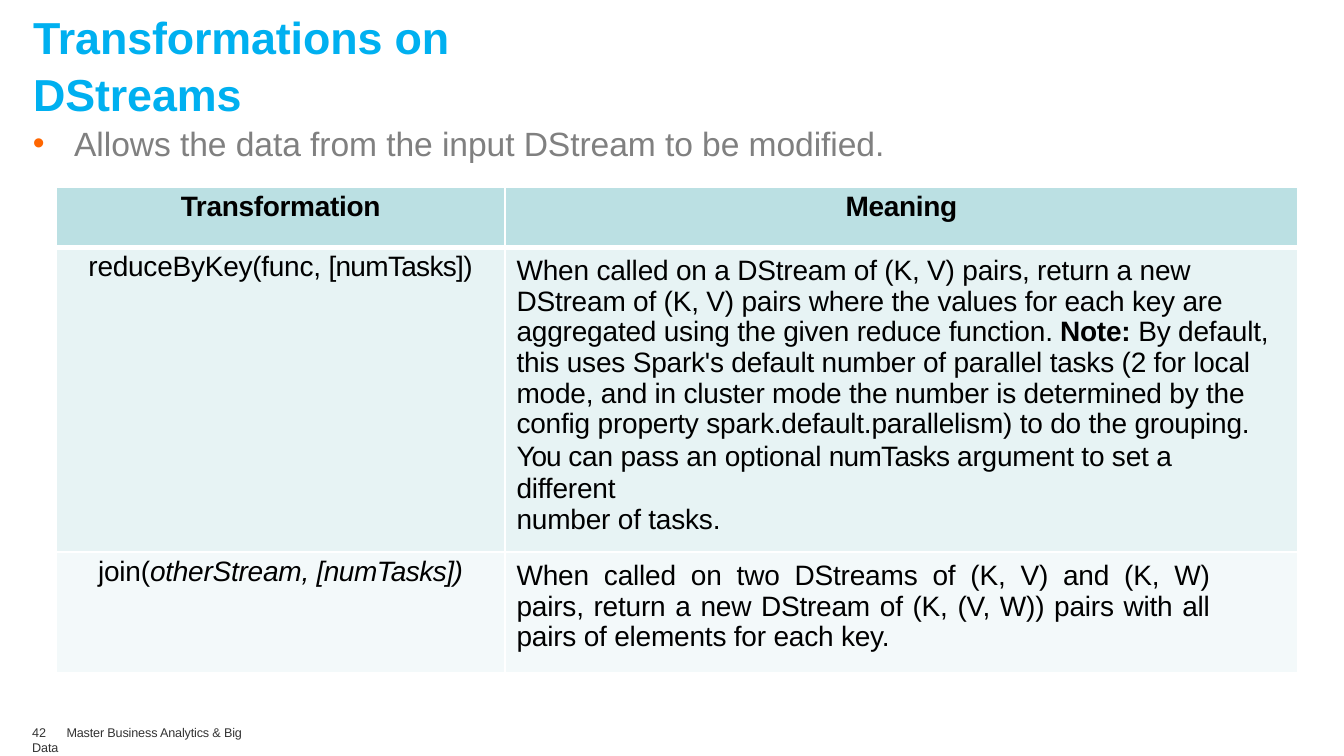
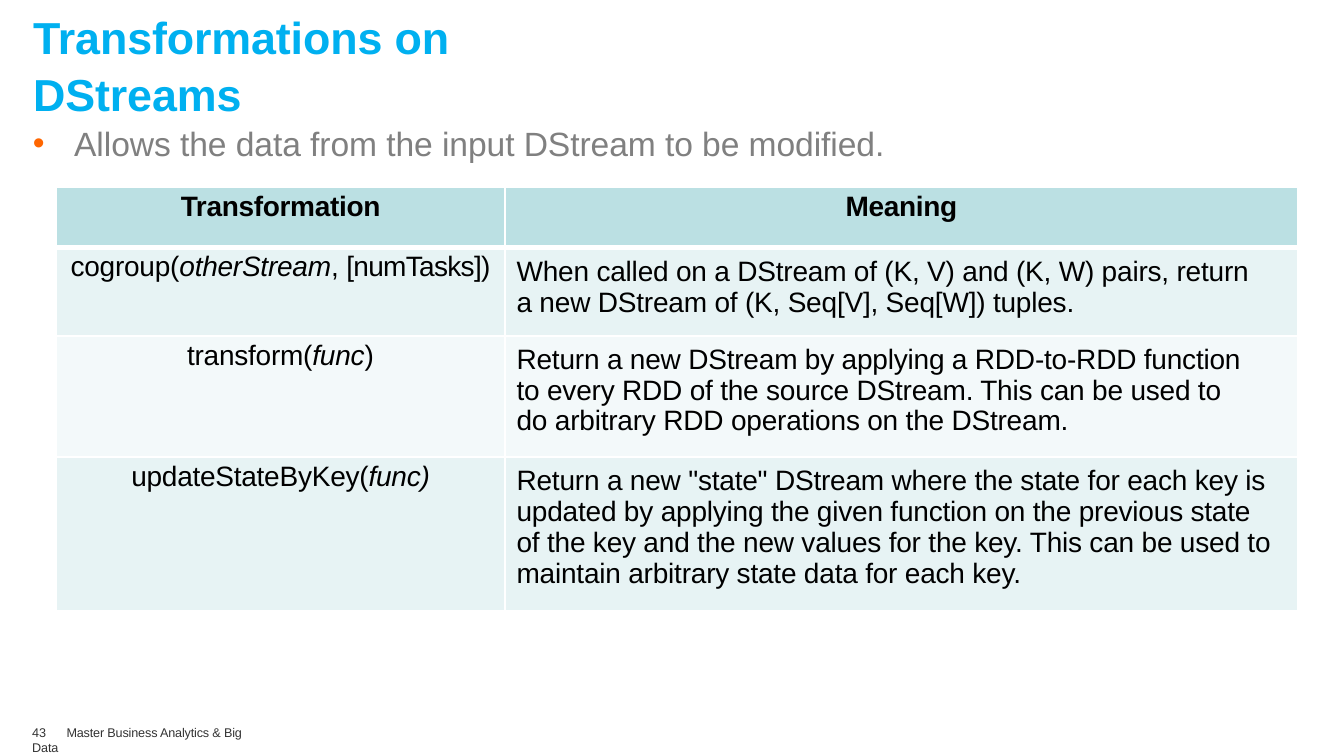
from dataclasses import dataclass
from typing import Optional

from lxml import etree
from pptx import Presentation
from pptx import util as u
from pptx.dml.color import RGBColor
from pptx.enum import text as t
from pptx.oxml import ns

Pt = u.Pt

# Shared look
FONT = "Arial"
TITLE_BLUE = RGBColor(0x00, 0xB0, 0xF0)
BULLET_ORANGE = RGBColor(0xFF, 0x66, 0x00)
LEAD_GREY = RGBColor(0x80, 0x80, 0x80)
FOOTER_GREY = RGBColor(0x33, 0x33, 0x33)
BLACK = RGBColor(0x00, 0x00, 0x00)
WHITE = RGBColor(0xFF, 0xFF, 0xFF)
HEADER_TEAL = RGBColor(0xBB, 0xE0, 0xE3)
ROW_TINTS = (RGBColor(0xE7, 0xF3, 0xF4), RGBColor(0xF3, 0xF9, 0xFA))

HEADER_HEIGHT = 43.2
COLUMN_WIDTHS = (321.2, 565.8)
THIN, THICK = 1.5, 4.25


@dataclass(frozen=True)
class Run:
    text: str
    bold: bool = False
    italic: bool = False
    spacing: Optional[float] = None


@dataclass(frozen=True)
class Meaning:
    runs: tuple[Run, ...]
    line_spacing: object = 0.98


@dataclass(frozen=True)
class Transformation:
    signature: tuple[Run, ...]
    meaning: tuple[Meaning, ...]
    height: float
    right_margin: float
    justified: bool = False


def sub(parent, tag: str, **attributes: str):
    return etree.SubElement(parent, ns.qn(tag), **attributes)


def write(paragraph, runs: tuple[Run, ...], *, size: float, color: RGBColor = BLACK,
          align=t.PP_ALIGN.LEFT, line_spacing=1.0, spacing: float = 0) -> None:
    """Fill a paragraph with formatted runs; spacing is between letters."""
    paragraph.alignment = align
    paragraph.line_spacing = line_spacing
    paragraph.space_before = paragraph.space_after = Pt(0)
    for part in runs:
        run = paragraph.add_run()
        run.text = part.text
        font = run.font
        font.name, font.size = FONT, Pt(size)
        font.bold, font.italic = part.bold, part.italic
        font.color.rgb = color
        letter_gap = spacing if part.spacing is None else part.spacing
        run._r.get_or_add_rPr().set("spc", str(round(letter_gap * 100)))


def place(shape, left: float, top: float, width: float, height: float,
          inset_left: float = 0, inset_top: float = 0):
    """Position a text shape and return its frame."""
    shape.left, shape.top = Pt(left), Pt(top)
    shape.width, shape.height = Pt(width), Pt(height)
    frame = shape.text_frame
    frame.word_wrap = True
    frame.auto_size = t.MSO_AUTO_SIZE.SHAPE_TO_FIT_TEXT
    frame.vertical_anchor = t.MSO_ANCHOR.TOP
    frame.margin_left, frame.margin_top = Pt(inset_left), Pt(inset_top)
    frame.margin_right = frame.margin_bottom = Pt(0)
    return frame


def add_title(slide) -> None:
    frame = place(slide.shapes.title, 23, 4.3, 445, 40, 0.7, 1)
    write(frame.paragraphs[0], (Run("Transformations on DStreams", bold=True),),
          size=32, color=TITLE_BLUE, line_spacing=1.05, spacing=-0.1)


def add_lead(slide) -> None:
    frame = place(slide.placeholders[1], 23, 87, 613.5, 31, 0, 1)
    paragraph = frame.paragraphs[0]
    properties = paragraph._p.get_or_add_pPr()
    properties.set("marL", str(Pt(30)))
    properties.set("indent", str(Pt(-29.5)))
    sub(sub(properties, "a:buClr"), "a:srgbClr", val=str(BULLET_ORANGE))
    sub(properties, "a:buFont", typeface=FONT)
    sub(properties, "a:buChar", char="•")
    write(paragraph, (Run("Allows the data from the input DStream to be modified."),),
          size=24, color=LEAD_GREY, spacing=-0.06)


def add_footer(slide, number: int) -> None:
    frame = place(slide.shapes.add_textbox(0, 0, 0, 0), 20, 517.7, 171, 12.5, 3)
    paragraph = frame.paragraphs[0]
    tabs = sub(paragraph._p.get_or_add_pPr(), "a:tabLst")
    sub(tabs, "a:tab", pos=str(Pt(24.5)), algn="l")
    write(paragraph, (Run(f"{number}\t", spacing=0),
                      Run("Master Business Analytics & Big Data")),
          size=9, color=FOOTER_GREY, spacing=-0.1)


def style_cell(cell, fill: RGBColor, top_line: float, bottom_line: float,
               inset_top: float, left: float = 0, right: float = 0) -> None:
    properties = cell._tc.get_or_add_tcPr()
    edges = {"a:lnL": THIN, "a:lnR": THIN, "a:lnT": top_line, "a:lnB": bottom_line}
    for tag, width in edges.items():
        line = sub(properties, tag, w=str(Pt(width)))
        sub(sub(line, "a:solidFill"), "a:srgbClr", val=str(WHITE))
    cell.fill.solid()
    cell.fill.fore_color.rgb = fill
    cell.vertical_anchor = t.MSO_ANCHOR.TOP
    cell.margin_left, cell.margin_right = Pt(left), Pt(right)
    cell.margin_top, cell.margin_bottom = Pt(inset_top), Pt(0)


def add_table(slide, rows: tuple[Transformation, ...]) -> None:
    heights = [HEADER_HEIGHT, *(row.height for row in rows)]
    table = slide.shapes.add_table(
        len(heights), len(COLUMN_WIDTHS), Pt(39.8), Pt(133.5),
        Pt(sum(COLUMN_WIDTHS)), Pt(sum(heights))).table
    table.horz_banding = False
    for column, width in zip(table.columns, COLUMN_WIDTHS):
        column.width = Pt(width)
    for table_row, height in zip(table.rows, heights):
        table_row.height = Pt(height)

    # Header row
    for column, heading in enumerate(("Transformation", "Meaning")):
        cell = table.cell(0, column)
        style_cell(cell, HEADER_TEAL, THIN, THICK, 3)
        write(cell.text_frame.paragraphs[0], (Run(heading, bold=True),),
              size=20, align=t.PP_ALIGN.CENTER, spacing=-0.25)

    # One row per transformation
    for index, row in enumerate(rows, start=1):
        tint = ROW_TINTS[(index - 1) % len(ROW_TINTS)]
        top_line = THICK if index == 1 else THIN
        signature, meaning = table.cell(index, 0), table.cell(index, 1)
        style_cell(signature, tint, top_line, THIN, 3)
        write(signature.text_frame.paragraphs[0], row.signature,
              size=20, align=t.PP_ALIGN.CENTER, spacing=-0.2)
        style_cell(meaning, tint, top_line, THIN, 6.3, 8, row.right_margin)
        frame = meaning.text_frame
        align = t.PP_ALIGN.JUSTIFY if row.justified else t.PP_ALIGN.LEFT
        for position, part in enumerate(row.meaning):
            paragraph = frame.add_paragraph() if position else frame.paragraphs[0]
            write(paragraph, part.runs, size=20, align=align,
                  line_spacing=part.line_spacing, spacing=-0.17)


NUM_TASKS = Run("[numTasks])", spacing=-0.5)

KEYED_ROWS = (
    Transformation(
        (Run("reduceByKey(func, "), NUM_TASKS),
        (Meaning((
            Run("When called on a DStream of (K, V) pairs, return a new DStream of "
                "(K, V) pairs where the values for each key are aggregated using "
                "the given reduce function. "),
            Run("Note: ", bold=True),
            Run("By default, this uses Spark's default number of parallel tasks "
                "(2 for local mode, and in cluster mode the number is determined by "
                "the config property spark.default.parallelism) to do the grouping."))),
         Meaning((
             Run("You ", spacing=-0.8), Run("can pass an optional "),
             Run("numTasks ", spacing=-0.5),
             Run("argument to set a different")), Pt(23.1)),
         Meaning((Run("number of tasks."),), 1.0)),
        height=204.5, right_margin=16),
    Transformation(
        (Run("join("), Run("otherStream, ", italic=True),
         Run("[numTasks])", italic=True, spacing=-0.4)),
        (Meaning((Run("When called on two DStreams of (K, V) and (K, W) pairs, return "
                      "a new DStream of (K, (V, W)) pairs with all pairs of elements "
                      "for each key."),)),),
        height=86.4, right_margin=63, justified=True),
)

STREAM_ROWS = (
    Transformation(
        (Run("cogroup("), Run("otherStream", italic=True), Run(", "), NUM_TASKS),
        (Meaning((Run("When called on a DStream of (K, V) and (K, W) pairs, return a "
                      "new DStream of (K, Seq[V], Seq[W]) tuples."),), 1.0),),
        height=63.4, right_margin=24),
    Transformation(
        (Run("transform("), Run("func", italic=True), Run(")")),
        (Meaning((Run("Return a new DStream by applying a RDD-to-RDD function to "
                      "every RDD of the source DStream. This can be used to do "
                      "arbitrary RDD operations on the DStream."),)),),
        height=86.4, right_margin=34),
    Transformation(
        (Run("updateStateByKey("), Run("func)", italic=True)),
        (Meaning((Run('Return a new "state" DStream where the state for each key is '
                      "updated by applying the given function on the previous state "
                      "of the key and the new values for the key. This can be used "
                      "to maintain arbitrary state data for each key."),), 0.99),),
        height=110.2, right_margin=15),
)


def main() -> None:
    deck = Presentation()
    deck.slide_width, deck.slide_height = Pt(960), Pt(540)
    for number, rows in enumerate((KEYED_ROWS, STREAM_ROWS), start=42):
        slide = deck.slides.add_slide(deck.slide_layouts[1])
        add_title(slide)
        add_lead(slide)
        add_table(slide, rows)
        add_footer(slide, number)
    deck.save("out.pptx")


if __name__ == "__main__":
    main()
